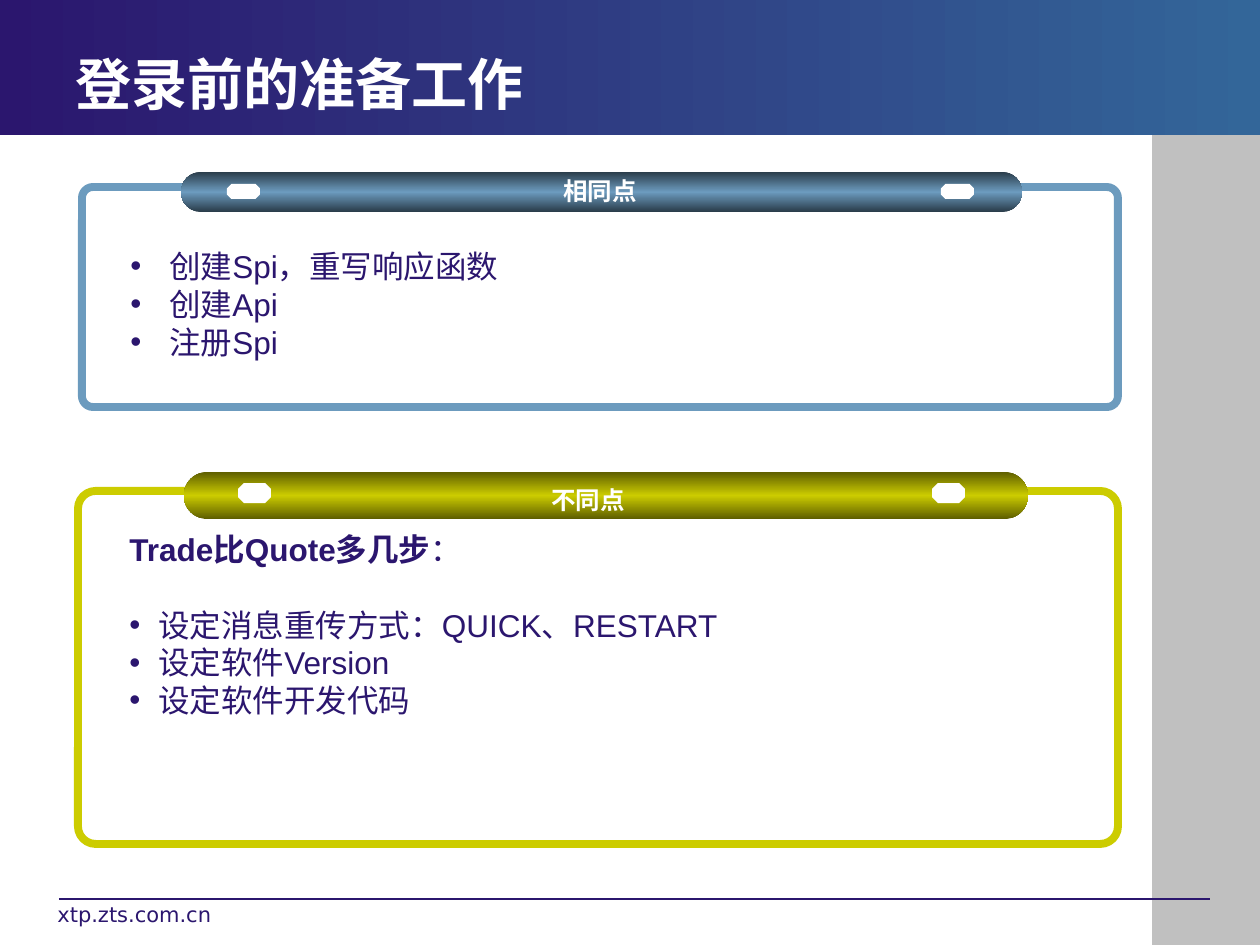
"""Build the slide that compares the preparation steps before login."""
from dataclasses import dataclass
from typing import NamedTuple

from lxml.etree import SubElement
from pptx import Presentation
from pptx.dml.color import RGBColor
from pptx.enum.shapes import MSO_CONNECTOR, MSO_SHAPE
from pptx.enum.text import MSO_ANCHOR, MSO_AUTO_SIZE, PP_ALIGN
from pptx.oxml.ns import qn
from pptx.util import Emu, Pt


class Box(NamedTuple):
    left: int
    top: int
    width: int
    height: int


@dataclass(frozen=True)
class Theme:
    ink: str = "2B166E"
    teal: str = "336699"
    white: str = "FFFFFF"
    grey: str = "C0C0C0"
    blue: str = "6C9BBE"
    dark_blue: str = "2A3C4A"
    olive: str = "CCCC00"
    dark_olive: str = "5E5E00"
    text_font: str = "Arial"
    title_font: str = "DejaVu Sans"
    title_size: int = 32
    body_size: int = 18
    caption_size: int = 14
    footer_size: int = 12
    rule_width: float = 0.75
    frame_width: float = 4.5
    frame_corner: float = 0.05
    heading_gap: float = 21.5


@dataclass(frozen=True)
class Panel:
    caption: str
    color: str
    shade: str
    frame: Box
    tab: Box
    studs: tuple[Box, Box]
    caption_box: Box
    body: Box
    indent: int
    bullets: tuple[str, ...]
    heading: tuple[str, str] | None = None


THEME = Theme()
PANELS = (
    Panel("相同点", THEME.blue, THEME.dark_blue,
          Box(82, 187, 1036, 220), Box(181, 172, 841, 40),
          (Box(227, 184, 33, 15), Box(941, 184, 33, 15)),
          Box(305, 170, 590, 43), Box(118, 241, 963, 164), 39,
          ("创建Spi，重写响应函数", "创建Api", "注册Spi")),
    Panel("不同点", THEME.olive, THEME.dark_olive,
          Box(78, 491, 1040, 353), Box(184, 472, 844, 47),
          (Box(238, 483, 33, 20), Box(932, 483, 33, 20)),
          Box(478, 479, 220, 43), Box(117, 524, 966, 202), 29,
          ("设定消息重传方式：QUICK、RESTART", "设定软件Version", "设定软件开发代码"),
          ("Trade比Quote多几步", "：")),
)


def px(length: int) -> Emu:
    """Turn pixels into EMU."""
    return Emu(round(length * 914400 / 126))


def rgb(color: str) -> RGBColor:
    """Parse a hex colour."""
    return RGBColor.from_string(color)


def add_shape(page, kind, box: Box, fill: str | None = None):
    """Add an outline-free preset shape."""
    shape = page.shapes.add_shape(kind, *map(px, box))
    shape.shadow.inherit = False
    shape.line.fill.background()
    if fill:
        shape.fill.solid()
        shape.fill.fore_color.rgb = rgb(fill)
    else:
        shape.fill.background()
    return shape


def set_gradient(shape, colors: tuple[str, ...], angle: int) -> None:
    """Fill a shape with evenly spaced gradient stops."""
    shape.fill.gradient()
    shape.fill.gradient_angle = angle
    stops = shape._element.spPr.find(qn("a:gradFill")).find(qn("a:gsLst"))
    for stop in list(stops):
        stops.remove(stop)
    for index, color in enumerate(colors):
        position = round(100000 * index / (len(colors) - 1))
        stop = SubElement(stops, qn("a:gs"), pos=str(position))
        SubElement(stop, qn("a:srgbClr"), val=color)


def set_font(para, name: str, size: int, color: str, bold: bool | None = None) -> None:
    """Format a whole paragraph."""
    para.font.name = name
    para.font.size = Pt(size)
    para.font.bold = bold
    para.font.color.rgb = rgb(color)


def add_text_frame(page, box: Box):
    """Add a wrapping text box and return its frame."""
    frame = page.shapes.add_textbox(*map(px, box)).text_frame
    frame.word_wrap = True
    return frame


def set_bullet(para, indent: int) -> None:
    """Give a paragraph a hanging bullet."""
    properties = para._p.get_or_add_pPr()
    properties.set("marL", str(px(indent)))
    properties.set("indent", str(-px(indent)))
    color = SubElement(properties, qn("a:buClr"))
    SubElement(color, qn("a:srgbClr"), val=THEME.ink)
    SubElement(properties, qn("a:buFont"), typeface=THEME.text_font)
    SubElement(properties, qn("a:buChar"), char="•")


def add_body(page, panel: Panel) -> None:
    """Write the optional heading and the bullets of a panel."""
    frame = add_text_frame(page, panel.body)
    para = frame.paragraphs[0]
    if panel.heading:
        for text, bold in zip(panel.heading, (True, False)):
            span = para.add_run()
            span.text = text
            span.font.bold = bold
        set_font(para, THEME.text_font, THEME.body_size, THEME.ink)
        para = frame.add_paragraph()
        para.space_before = Pt(THEME.heading_gap)
    for index, text in enumerate(panel.bullets):
        if index:
            para = frame.add_paragraph()
        para.text = text
        set_bullet(para, panel.indent)
        set_font(para, THEME.text_font, THEME.body_size, THEME.ink)


def add_panel(page, panel: Panel) -> None:
    """Draw a framed panel with its tab, studs and text."""
    outline = add_shape(page, MSO_SHAPE.ROUNDED_RECTANGLE, panel.frame)
    outline.adjustments[0] = THEME.frame_corner
    outline.line.color.rgb = rgb(panel.color)
    outline.line.width = Pt(THEME.frame_width)
    tab = add_shape(page, MSO_SHAPE.ROUNDED_RECTANGLE, panel.tab)
    tab.adjustments[0] = 0.5
    set_gradient(tab, (panel.shade, panel.color, panel.shade), 90)
    for stud in panel.studs:
        add_shape(page, MSO_SHAPE.OCTAGON, stud, THEME.white)
    para = add_text_frame(page, panel.caption_box).paragraphs[0]
    para.text = panel.caption
    para.alignment = PP_ALIGN.CENTER
    set_font(para, THEME.text_font, THEME.caption_size, THEME.white, True)
    add_body(page, panel)


def add_backdrop(page) -> None:
    """Draw the side bar, the footer rule, the title band and the footer."""
    add_shape(page, MSO_SHAPE.RECTANGLE, Box(1152, 135, 108, 810), THEME.grey)
    rule = page.shapes.add_connector(MSO_CONNECTOR.STRAIGHT, px(59), px(899), px(1210), px(899))
    rule.line.color.rgb = rgb(THEME.ink)
    rule.line.width = Pt(THEME.rule_width)
    SubElement(rule._element.spPr, qn("a:effectLst"))
    band = add_shape(page, MSO_SHAPE.RECTANGLE, Box(0, 0, 1260, 135))
    set_gradient(band, (THEME.ink, THEME.teal), 0)
    para = add_text_frame(page, Box(45, 895, 294, 44)).paragraphs[0]
    para.text = "xtp.zts.com.cn"
    set_font(para, THEME.title_font, THEME.footer_size, THEME.ink)


def place_title(page, text: str) -> None:
    """Move the title placeholder onto the band and format it."""
    title = page.shapes.title
    title.left, title.top, title.width, title.height = map(px, Box(63, 44, 850, 78))
    title.text_frame.auto_size = MSO_AUTO_SIZE.NONE
    title.text_frame.vertical_anchor = MSO_ANCHOR.MIDDLE
    para = title.text_frame.paragraphs[0]
    para.text = text
    para.alignment = PP_ALIGN.LEFT
    set_font(para, THEME.title_font, THEME.title_size, THEME.white, True)
    page.shapes._spTree.append(title._element)


def main() -> None:
    """Build and save the deck."""
    deck = Presentation()
    deck.slide_width, deck.slide_height = px(1260), px(945)
    page = deck.slides.add_slide(deck.slide_layouts[5])
    add_backdrop(page)
    place_title(page, "登录前的准备工作")
    for panel in PANELS:
        add_panel(page, panel)
    deck.save("out.pptx")


if __name__ == "__main__":
    main()
